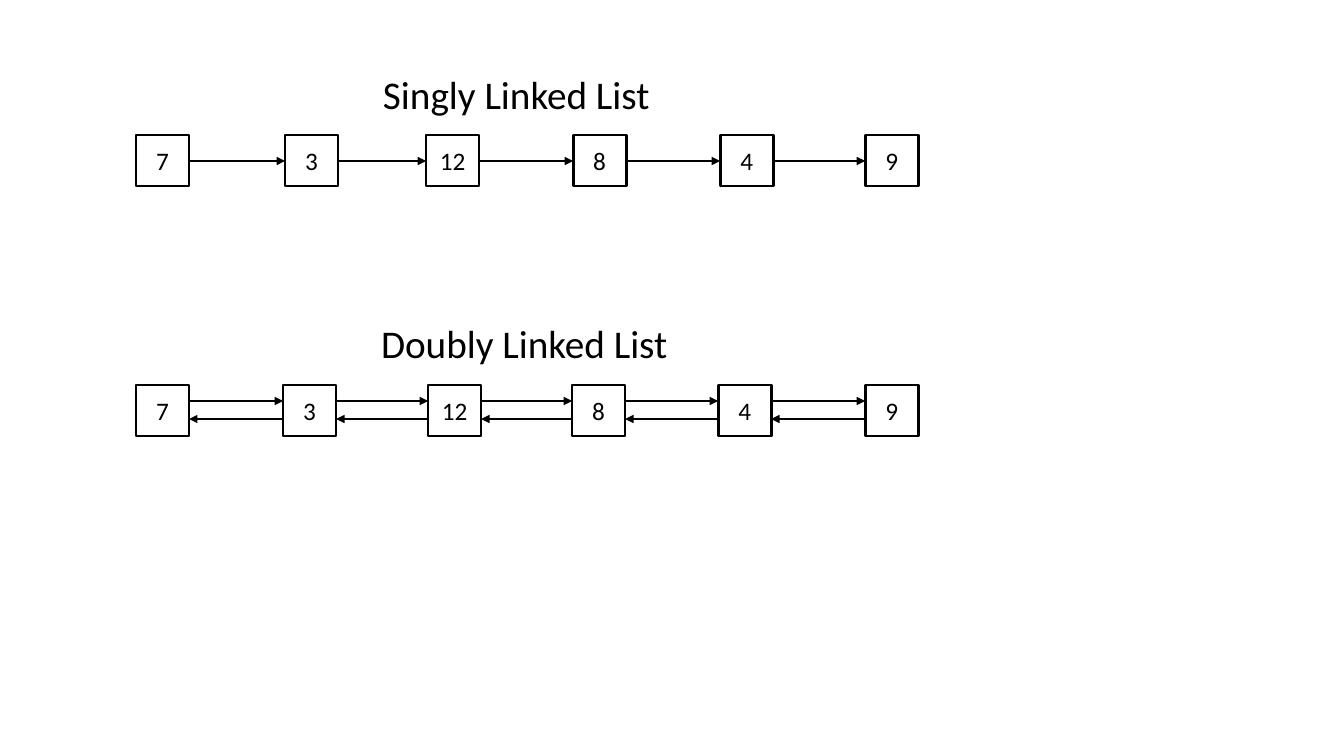
from itertools import pairwise

from lxml import etree
from pptx import Presentation
from pptx import util as u
from pptx.dml.color import RGBColor
from pptx.enum import shapes, text
from pptx.oxml import ns

SCALE = 914400 / 100.8
COLORS = {"ink": "000000", "paper": "FFFFFF"}
FONT = "Calibri"
LINE_WIDTH = u.Pt(2)
VALUES = ["7", "3", "12", "8", "4", "9"]
NODE_WIDTH, NODE_HEIGHT = 53, 51
SINGLY_LEFTS = [136, 285, 426, 573, 720, 865]
DOUBLY_LEFTS = [136, 283, 428, 572, 718, 865]


def px(*lengths):
    """Turn pixel lengths into a list of EMU lengths."""
    return [u.Emu(round(length * SCALE)) for length in lengths]


def color(name):
    """Return the named colour."""
    return RGBColor.from_string(COLORS[name])


def write_text(shape, content, size=18, align=text.PP_ALIGN.LEFT,
               anchor=text.MSO_ANCHOR.TOP, wrap=True):
    """Put formatted text into a shape."""
    frame = shape.text_frame
    frame.word_wrap = wrap
    frame.vertical_anchor = anchor
    paragraph = frame.paragraphs[0]
    paragraph.alignment = align
    run = paragraph.add_run()
    run.text = content
    run.font.name = FONT
    run.font.size = u.Pt(size)
    run.font.color.rgb = color("ink")


def add_heading(slide, content, left, top, width, wrap=True):
    """Add the heading of one list."""
    box = slide.shapes.add_textbox(*px(left, top, width, 57))
    write_text(box, content, size=28, wrap=wrap)
    box.text_frame.auto_size = text.MSO_AUTO_SIZE.SHAPE_TO_FIT_TEXT


def add_node(slide, value, left, top):
    """Add one boxed list value."""
    node = slide.shapes.add_shape(
        shapes.MSO_SHAPE.RECTANGLE, *px(left, top, NODE_WIDTH, NODE_HEIGHT))
    node.shadow.inherit = False
    node.fill.solid()
    node.fill.fore_color.rgb = color("paper")
    node.line.color.rgb = color("ink")
    node.line.width = LINE_WIDTH
    write_text(node, value, align=text.PP_ALIGN.CENTER,
               anchor=text.MSO_ANCHOR.MIDDLE)


def add_arrow(slide, start, end, y):
    """Add a horizontal arrow that points at end."""
    arrow = slide.shapes.add_connector(
        shapes.MSO_CONNECTOR.STRAIGHT, *px(start, y, end, y))
    arrow.line.color.rgb = color("ink")
    arrow.line.width = LINE_WIDTH
    etree.SubElement(arrow.line._get_or_add_ln(), ns.qn("a:tailEnd"),
                     type="triangle")
    etree.SubElement(arrow._element.spPr, ns.qn("a:effectLst"))


def add_linked_list(slide, lefts, top, next_y, previous_y=None):
    """Add a row of nodes with links forward and, if asked, backward."""
    for value, left in zip(VALUES, lefts):
        add_node(slide, value, left, top)
    for left, following in pairwise(lefts):
        add_arrow(slide, left + NODE_WIDTH, following, next_y)
        if previous_y is not None:
            add_arrow(slide, following, left + NODE_WIDTH, previous_y)


def main():
    """Build the slide and save it."""
    presentation = Presentation()
    presentation.slide_width = u.Inches(13.33)
    presentation.slide_height = u.Inches(7.5)
    slide = presentation.slides.add_slide(presentation.slide_layouts[6])
    add_heading(slide, "Singly Linked List", 373, 65, 289, wrap=False)
    add_linked_list(slide, SINGLY_LEFTS, 135, 161)
    add_heading(slide, "Doubly Linked List", 371, 314, 495)
    add_linked_list(slide, DOUBLY_LEFTS, 385, 401, 419)
    presentation.save("out.pptx")


main()
